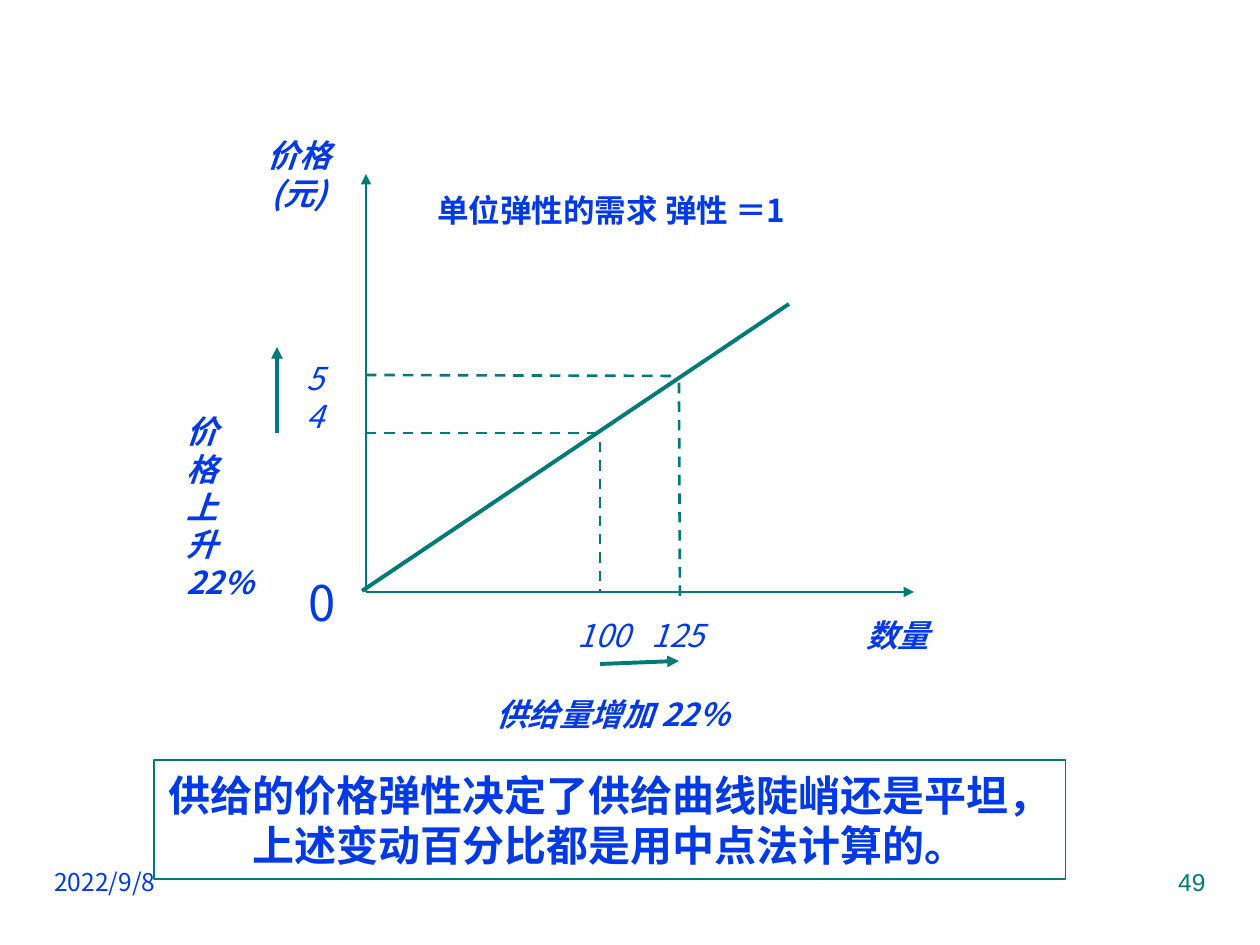
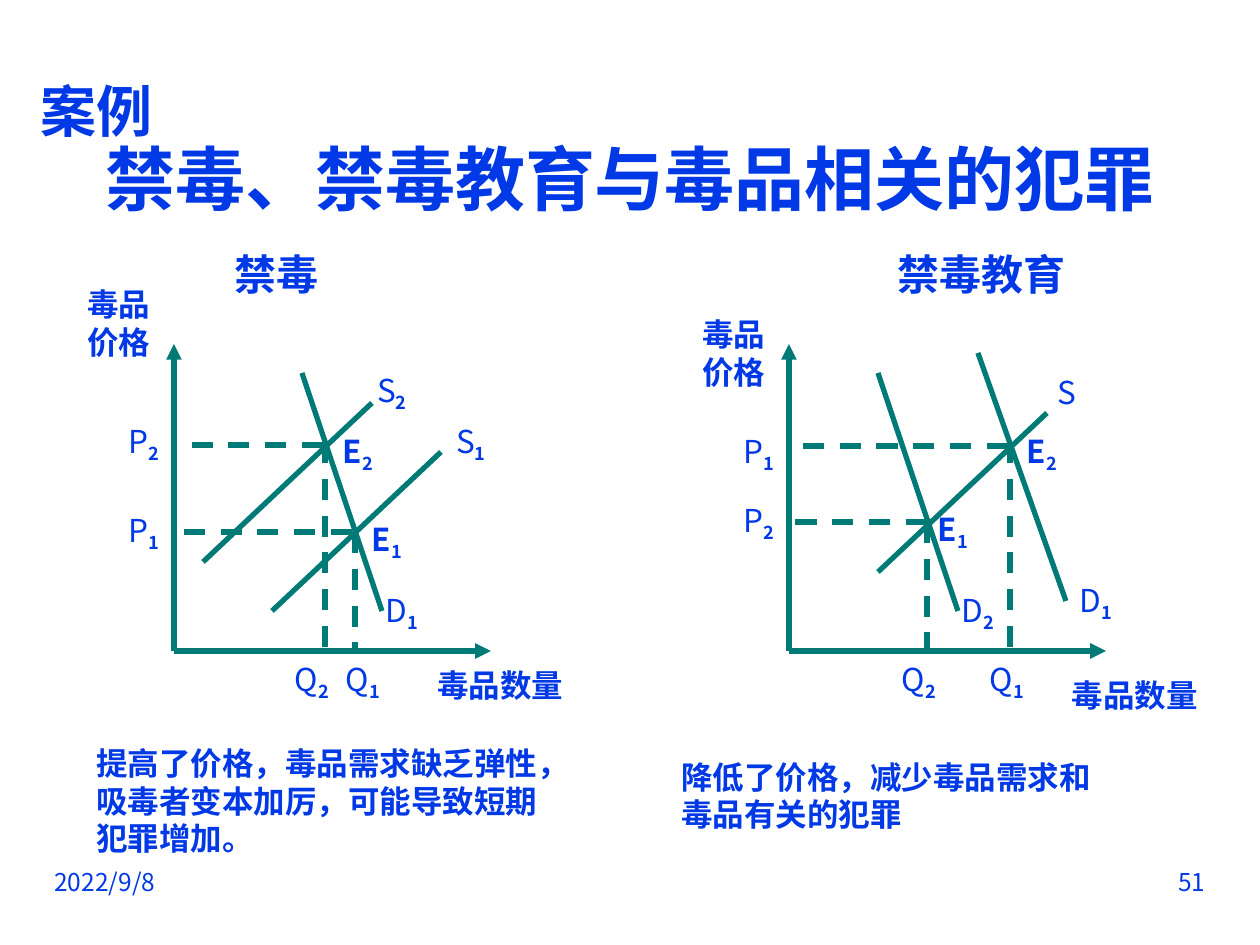
from lxml.etree import SubElement
from pptx import Presentation
from pptx.dml.color import RGBColor
from pptx.enum.dml import MSO_LINE
from pptx.enum.shapes import MSO_CONNECTOR, MSO_SHAPE
from pptx.enum.text import MSO_ANCHOR, PP_ALIGN
from pptx.oxml.ns import qn
from pptx.util import Emu, Pt

PX = 914400 // 126
SLIDE_SIZE = (1260, 945)
BLUE = RGBColor(0x00, 0x39, 0xE5)
TEAL = RGBColor(0x00, 0x7A, 0x77)
FONT = "Noto Sans CJK SC"
DATE = "2022/9/8"

# Supply elasticity slide: lines are (from, to), labels are (text, centre)
ORIGIN = (366, 592)
SUPPLY_CURVE = ((362, 591), (789, 304))
AXIS_ENDS = [(914, 592), (366, 174)]
GUIDES = [
    ((366, 375), (674, 376)), ((366, 433), (600, 433)),
    ((679, 383), (680, 600)), ((600, 442), (600, 591)),
]
CHANGE_ARROWS = [((600, 664), (679, 661)), ((277, 433), (277, 347))]
CENTRED_LABELS = [
    (["100"], (604, 635)), (["125"], (678, 635)), (["5", "4"], (315, 397)),
]
BOXED_LABELS = [
    (["数量"], (854, 606, 103, 58)),
    (["价", "格", "上", "升", "22%"], (174, 391, 104, 231)),
    (["供给量增加 22％"], (484, 678, 369, 72)),
]
CONCLUSION = [
    "供给的价格弹性决定了供给曲线陡峭还是平坦，",
    "上述变动百分比都是用中点法计算的。",
]

# Drug policy slide: one entry per diagram; "D_1" means D with subscript 1
AXIS_LENGTHS = (317, 307)
PANELS = [
    {
        "heading": ("禁毒", (277, 274)),
        "origin": (174, 651),
        "price": (119, 323),
        "quantity": (500, 685),
        "curves": [((302, 373), (382, 611)), ((203, 562), (372, 403)),
                   ((272, 611), (441, 452))],
        "guides": [((352, 532), (174, 532)), ((323, 445), (174, 445)),
                   ((325, 442), (325, 651)), ((355, 532), (355, 651))],
        "symbols": {"D_1": (402, 612), "S_1": (471, 443), "S_2": (392, 392),
                    "P_1": (144, 532), "P_2": (144, 443), "Q_1": (363, 681),
                    "Q_2": (312, 681), "E_1": (387, 541), "E_2": (358, 453)},
        "note": ["提高了价格，毒品需求缺乏弹性，", "吸毒者变本加厉，可能导致短期",
                 "犯罪增加。"],
        "note_box": (84, 731, 507, 139),
    },
    {
        "heading": ("禁毒教育", (982, 274)),
        "origin": (789, 651),
        "price": (734, 353),
        "quantity": (1135, 695),
        "curves": [((878, 373), (958, 611)), ((1066, 601), (978, 353)),
                   ((878, 572), (1047, 413))],
        "guides": [((1008, 446), (790, 446)), ((927, 522), (789, 522)),
                   ((927, 522), (927, 651)), ((1010, 442), (1010, 651))],
        "symbols": {"D_1": (1096, 602), "D_2": (978, 612), "S": (1067, 392),
                    "P_1": (759, 453), "P_2": (759, 522), "Q_1": (1007, 681),
                    "Q_2": (919, 681), "E_1": (953, 531), "E_2": (1042, 453)},
        "note": ["降低了价格，减少毒品需求和", "毒品有关的犯罪"],
        "note_box": (669, 731, 486, 129),
    },
]


def scaled(*lengths):
    return [Emu(length * PX) for length in lengths]


def add_run(paragraph, text, size, bold=False, italic=False, color=BLUE,
            font=FONT, subscript=False):
    run = paragraph.add_run()
    run.text = text
    run.font.size = Pt(size)
    run.font.bold = bold
    run.font.italic = italic
    run.font.color.rgb = color
    run.font.name = font
    properties = run._r.get_or_add_rPr()
    SubElement(properties, qn("a:ea"), typeface=font)
    if subscript:
        properties.set("baseline", "-25000")


def fill_text(shape, lines, size, align=PP_ALIGN.CENTER,
              anchor=MSO_ANCHOR.MIDDLE, wrap=False, **style):
    frame = shape.text_frame
    frame.word_wrap = wrap
    frame.vertical_anchor = anchor
    for index, line in enumerate(lines):
        paragraph = frame.add_paragraph() if index else frame.paragraphs[0]
        paragraph.alignment = align
        base, _, subscript = line.partition("_")
        add_run(paragraph, base, size, **style)
        if subscript:
            add_run(paragraph, subscript, size, bold=True, subscript=True)


def add_text(slide, box, lines, size, **style):
    fill_text(slide.shapes.add_textbox(*scaled(*box)), lines, size, **style)


def add_label(slide, centre, lines, size=18, **style):
    """Text centred on a point, in a box wide enough for its longest line."""
    width = 2 * size * max(map(len, lines)) + 40
    height = 2 * (size + 11) * len(lines)
    box = (centre[0] - width // 2, centre[1] - height // 2, width, height)
    add_text(slide, box, lines, size, **style)


def add_outline(slide, preset, box):
    shape = slide.shapes.add_shape(preset, *scaled(*box))
    shape.shadow.inherit = False
    shape.fill.background()
    shape.line.fill.background()
    return shape


def add_line(slide, start, end, width, dashed=False, arrow=False):
    line = slide.shapes.add_connector(MSO_CONNECTOR.STRAIGHT, *scaled(*start, *end))
    line.line.color.rgb = TEAL
    line.line.width = Pt(width)
    if dashed:
        line.line.dash_style = MSO_LINE.DASH
    if arrow:
        SubElement(line.line._get_or_add_ln(), qn("a:tailEnd"), type="triangle")
    SubElement(line._element.spPr, qn("a:effectLst"))


def add_axes(slide, origin, ends, width):
    for end in ends:
        add_line(slide, origin, end, width, arrow=True)


def new_slide(presentation, number, **number_style):
    slide = presentation.slides.add_slide(presentation.slide_layouts[6])
    footer = {"anchor": MSO_ANCHOR.TOP, "wrap": True}
    add_text(slide, (42, 861, 315, 66), [DATE], 14, align=PP_ALIGN.LEFT, **footer)
    add_text(slide, (903, 861, 315, 66), [number], 14, align=PP_ALIGN.RIGHT,
             **footer, **number_style)
    return slide


def build_elasticity_slide(presentation):
    slide = new_slide(presentation, "49", color=TEAL, font="Arial")

    # Diagram
    add_axes(slide, ORIGIN, AXIS_ENDS, 1.5)
    for start, end in GUIDES:
        add_line(slide, start, end, 1.5, dashed=True)
    for start, end in CHANGE_ARROWS:
        add_line(slide, start, end, 2.25, arrow=True)
    add_line(slide, *SUPPLY_CURVE, 2.25)

    # Labels
    for lines, box in BOXED_LABELS:
        add_text(slide, box, lines, 18, align=PP_ALIGN.LEFT, bold=True, italic=True)
    for lines, centre in CENTRED_LABELS:
        add_label(slide, centre, lines, italic=True)
    add_label(slide, (299, 174), ["价格", "(元)"], bold=True, italic=True)
    add_text(slide, (425, 159, 562, 101), ["单位弹性的需求 弹性 ＝1"], 18,
             align=PP_ALIGN.LEFT, bold=True)
    zero = add_outline(slide, MSO_SHAPE.OVAL, (302, 582, 40, 39))
    fill_text(zero, ["0"], 28)

    # Framed conclusion
    frame = add_outline(slide, MSO_SHAPE.RECTANGLE, (154, 760, 912, 119))
    frame.line.color.rgb = TEAL
    frame.line.width = Pt(0.75)
    fill_text(frame, CONCLUSION, 24, bold=True)


def build_policy_slide(presentation):
    slide = new_slide(presentation, "51")
    add_text(slide, (42, 115, 1176, 126), ["禁毒、禁毒教育与毒品相关的犯罪"], 40,
             wrap=True, bold=True)
    add_label(slide, (97, 110), ["案例"], size=32, bold=True)

    for panel in PANELS:
        # Diagram
        x, y = panel["origin"]
        across, up = AXIS_LENGTHS
        add_axes(slide, (x, y), [(x + across, y), (x, y - up)], 3)
        for start, end in panel["curves"]:
            add_line(slide, start, end, 3)
        for start, end in panel["guides"]:
            add_line(slide, start, end, 3, dashed=True)

        # Labels and note
        heading, centre = panel["heading"]
        add_label(slide, centre, [heading], size=24, bold=True)
        add_label(slide, panel["price"], ["毒品", "价格"], bold=True)
        add_label(slide, panel["quantity"], ["毒品数量"], bold=True)
        for symbol, centre in panel["symbols"].items():
            add_label(slide, centre, [symbol], bold=symbol.startswith("E"))
        add_text(slide, panel["note_box"], panel["note"], 18,
                 align=PP_ALIGN.LEFT, bold=True)


def main():
    presentation = Presentation()
    presentation.slide_width, presentation.slide_height = scaled(*SLIDE_SIZE)
    build_elasticity_slide(presentation)
    build_policy_slide(presentation)
    presentation.save("out.pptx")


if __name__ == "__main__":
    main()
